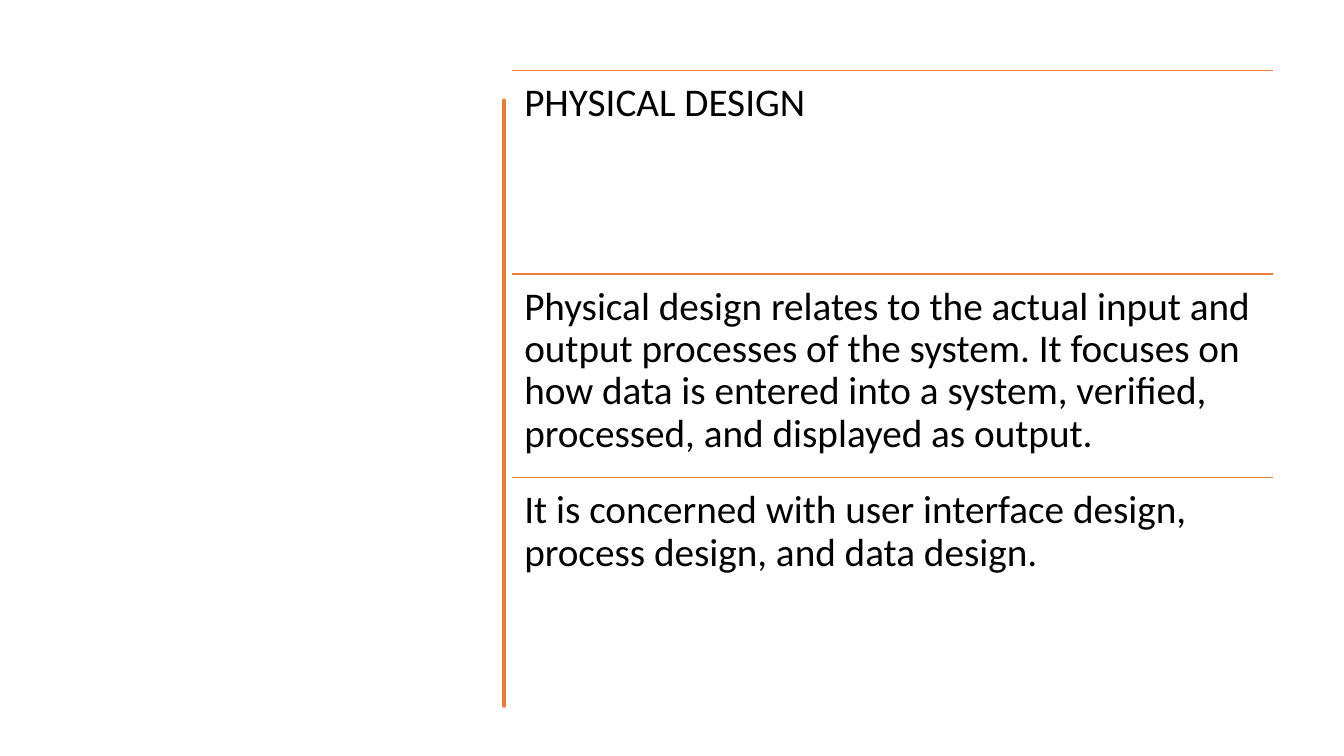
"""Build the physical design slide: a hand-drawn divider beside three ruled statements."""
import lxml.etree
import pptx
import pptx.dml.color
import pptx.enum.shapes
import pptx.enum.text
import pptx.oxml.ns
import pptx.util

STATEMENTS = [
    "PHYSICAL DESIGN",
    "Physical design relates to the actual input and output processes of the system. "
    "It focuses on how data is entered into a system, verified, processed, and displayed as output.",
    "It is concerned with user interface design, process design, and data design.",
]
THEME = {
    "accent": pptx.dml.color.RGBColor.from_string("ED7D31"),
    "text": pptx.dml.color.RGBColor.from_string("000000"),
    "font": "Calibri",
    "size": pptx.util.Pt(28),
    "rule": pptx.util.Pt(1),
    "brush": pptx.util.Pt(3.25),
}
SLIDE_SIZE = (13.33, 7.5)
ROWS = {"left": 5.08, "top": 0.7, "width": 7.55, "height": 2.02}
INSET = pptx.util.Inches(0.12)
CURVE_STEPS = 8

# Each edge holds a start point, then Bezier segments: control, control, end.
RIGHT_EDGE = ((4.75, 0.84), [
    ((4.77, 1.02), (4.77, 1.19), (4.75, 1.46)),
    ((4.73, 1.73), (4.76, 1.95), (4.75, 2.26)),
    ((4.74, 2.57), (4.75, 2.62), (4.75, 2.94)),
    ((4.74, 3.25), (4.77, 3.42), (4.75, 3.56)),
    ((4.73, 3.7), (4.79, 4.14), (4.75, 4.36)),
    ((4.71, 4.57), (4.72, 4.84), (4.75, 5.1)),
    ((4.77, 5.36), (4.77, 5.64), (4.75, 5.84)),
    ((4.73, 6.03), (4.76, 6.5), (4.75, 6.76)),
])
LEFT_EDGE = ((4.73, 6.76), [
    ((4.73, 6.46), (4.71, 6.44), (4.73, 6.13)),
    ((4.74, 5.83), (4.74, 5.7), (4.73, 5.57)),
    ((4.72, 5.44), (4.72, 4.95), (4.73, 4.77)),
    ((4.73, 4.59), (4.71, 4.45), (4.73, 4.15)),
    ((4.74, 3.86), (4.72, 3.73), (4.73, 3.35)),
    ((4.74, 2.98), (4.72, 2.81), (4.73, 2.5)),
    ((4.74, 2.18), (4.75, 2), (4.73, 1.81)),
    ((4.7, 1.63), (4.77, 1.04), (4.73, 0.84)),
])


def set_attributes(target, values):
    for name, value in values.items():
        setattr(target, name, value)


def trace_edge(start, segments):
    points = [start]
    for first, second, end in segments:
        origin = points[-1]
        for step in range(1, CURVE_STEPS + 1):
            t = step / CURVE_STEPS
            weights = ((1 - t) ** 3, 3 * t * (1 - t) ** 2, 3 * t**2 * (1 - t), t**3)
            corners = (origin, first, second, end)
            points.append(tuple(
                sum(weight * corner[axis] for weight, corner in zip(weights, corners))
                for axis in (0, 1)
            ))
    return points


def add_divider(slide):
    points = trace_edge(*RIGHT_EDGE) + trace_edge(*LEFT_EDGE)
    builder = slide.shapes.build_freeform(*points[0], scale=pptx.util.Inches(1))
    builder.add_line_segments(points[1:], close=True)
    divider = builder.convert_to_shape()
    divider.shadow.inherit = False
    for paint in (divider.fill, divider.line.fill):
        paint.solid()
        paint.fore_color.rgb = THEME["accent"]
    divider.line.width = THEME["brush"]
    outline = divider.element.spPr.find(pptx.oxml.ns.qn("a:ln"))
    lxml.etree.SubElement(outline, pptx.oxml.ns.qn("a:round"))


def add_rule(slide, left, top, width):
    rule = slide.shapes.add_connector(
        pptx.enum.shapes.MSO_CONNECTOR.STRAIGHT, left, top, left + width, top)
    rule.line.color.rgb = THEME["accent"]
    rule.line.width = THEME["rule"]
    lxml.etree.SubElement(rule.element.spPr, pptx.oxml.ns.qn("a:effectLst"))


def add_statement(slide, text, left, top, width, height):
    frame = slide.shapes.add_textbox(left, top, width, height).text_frame
    set_attributes(frame, {
        "word_wrap": True,
        "vertical_anchor": pptx.enum.text.MSO_ANCHOR.TOP,
        "margin_left": INSET, "margin_right": INSET,
        "margin_top": INSET, "margin_bottom": INSET,
    })
    paragraph = frame.paragraphs[0]
    paragraph.line_spacing = 0.9
    run = paragraph.add_run()
    run.text = text
    set_attributes(run.font, {"name": THEME["font"], "size": THEME["size"]})
    run.font.color.rgb = THEME["text"]


def main():
    presentation = pptx.Presentation()
    presentation.slide_width, presentation.slide_height = map(pptx.util.Inches, SLIDE_SIZE)
    slide = presentation.slides.add_slide(presentation.slide_layouts[6])
    add_divider(slide)
    left, width, height = (pptx.util.Inches(ROWS[key]) for key in ("left", "width", "height"))
    for row, text in enumerate(STATEMENTS):
        top = pptx.util.Inches(ROWS["top"]) + row * height
        add_rule(slide, left, top, width)
        add_statement(slide, text, left, top, width, height)
    presentation.save("out.pptx")


if __name__ == "__main__":
    main()
